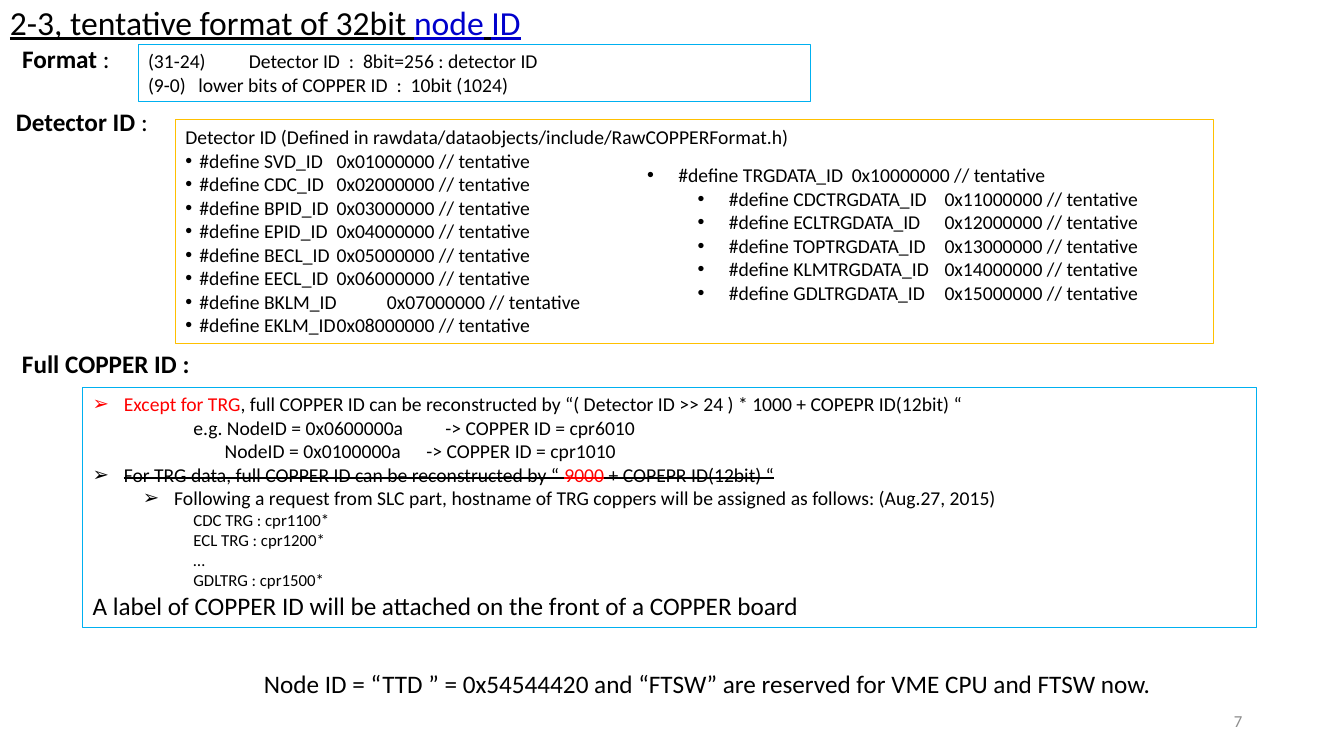
import pptx
import pptx.dml.color
import pptx.enum.shapes
import pptx.enum.text
import pptx.oxml.ns
import pptx.util
from lxml import etree
from pptx.util import Inches

BLUE, AMBER, RED, LINK = "00B0F0", "FFC000", "FF0000", "0000CC"
ALIGN = pptx.enum.text.PP_ALIGN
MIDDLE = pptx.enum.text.MSO_ANCHOR.MIDDLE
HANG = 0.31

DETECTORS = ["SVD_ID", "CDC_ID", "BPID_ID", "EPID_ID",
             "BECL_ID", "EECL_ID", "BKLM_ID", "EKLM_ID"]
TRIGGERS = ["CDC", "ECL", "TOP", "KLM", "GDL"]


def rgb(value):
    return pptx.dml.color.RGBColor.from_string(value)


def set_indent(para, margin, hang, bullet, tab):
    """Set the left margin, hanging bullet and one tab stop, in inches."""
    props = para._p.get_or_add_pPr()
    props.set("marL", str(Inches(margin)))
    props.set("indent", str(-Inches(hang)))
    if bullet:
        font = "Wingdings" if bullet == "Ø" else "Arial"
        etree.SubElement(props, pptx.oxml.ns.qn("a:buFont"), typeface=font)
        etree.SubElement(props, pptx.oxml.ns.qn("a:buChar"), char=bullet)
    if tab:
        stops = etree.SubElement(props, pptx.oxml.ns.qn("a:tabLst"))
        etree.SubElement(stops, pptx.oxml.ns.qn("a:tab"),
                         pos=str(Inches(tab)), algn="l")


def add_span(para, text, size=14, color="000000", bold=False,
             underline=False, strike=False):
    span = para.add_run()
    span.text = text
    span.font.name = "Calibri"
    span.font.size = pptx.util.Pt(size)
    span.font.color.rgb = rgb(color)
    span.font.bold = bold
    span.font.underline = underline
    if strike:
        span._r.get_or_add_rPr().set("strike", "sngStrike")


def line(*pieces, margin=0, hang=0, bullet=None, tab=None, level=0,
         align=ALIGN.LEFT, **style):
    """Describe a paragraph; a piece is a text or a (text, format) pair."""
    spans = [(piece, style) if isinstance(piece, str)
             else (piece[0], {**style, **piece[1]}) for piece in pieces]
    return spans, (margin, hang, bullet, tab), level, align


def fill_text(shape, lines, wrap=True, anchor=pptx.enum.text.MSO_ANCHOR.TOP):
    frame = shape.text_frame
    frame.word_wrap = wrap
    frame.vertical_anchor = anchor
    for index, (spans, indent, level, align) in enumerate(lines):
        para = frame.add_paragraph() if index else frame.paragraphs[0]
        para.level = level
        para.alignment = align
        set_indent(para, *indent)
        for text, style in spans:
            add_span(para, text, **style)


def add_text(shapes, place, lines, **options):
    box = shapes.add_textbox(*map(Inches, place))
    fill_text(box, lines, **options)


def add_frame(shapes, place, color, lines):
    box = shapes.add_shape(pptx.enum.shapes.MSO_SHAPE.RECTANGLE,
                           *map(Inches, place))
    box.shadow.inherit = False
    box.fill.background()
    box.line.color.rgb = rgb(color)
    box.line.width = pptx.util.Pt(0.75)
    fill_text(box, lines)


def define(name, code, **layout):
    return line(f"#define {name}\t0x{code}000000 // tentative", **layout)


def add_detector_ids(shapes):
    heading = "Detector ID (Defined in rawdata/dataobjects/include/RawCOPPERFormat.h)"
    add_frame(shapes, (1.74, 1.19, 10.3, 2.22), AMBER, [line(heading)] + [
        define(name, f"{number:02}", margin=0.14, hang=0.14, bullet="•", tab=1.5)
        for number, name in enumerate(DETECTORS, 1)])
    add_text(shapes, (6.32, 1.57, 6.67, 1.53), [
        define("TRGDATA_ID", 10, margin=HANG, hang=HANG, bullet="•", tab=2.03)
    ] + [
        define(f"{name}TRGDATA_ID", number, margin=0.81, hang=HANG, bullet="•",
               tab=2.95, level=1)
        for number, name in enumerate(TRIGGERS, 11)])


def add_copper_ids(shapes):
    arrow = {"hang": HANG, "bullet": "➢"}
    hosts = ["CDC TRG : cpr1100*", "ECL TRG : cpr1200*", "…", "GDLTRG : cpr1500*"]
    add_frame(shapes, (0.82, 3.84, 11.64, 2.39), BLUE, [
        line(("Except for TRG", {"color": RED}),
             ", full COPPER ID can be reconstructed by "
             "“( Detector ID >> 24 ) * 1000 + COPEPR ID(12bit) “",
             margin=HANG, **arrow),
        line("e.g. NodeID = 0x0600000a\t-> COPPER ID = cpr6010",
             margin=1, tab=3.26),
        line("NodeID = 0x0100000a\t-> COPPER ID = cpr1010",
             margin=1.31, tab=3.19),
        line("For TRG data, full COPPER ID can be reconstructed by “ ",
             ("9000", {"color": RED}), " + COPEPR ID(12bit) “",
             margin=HANG, strike=True, **arrow),
        line("Following a request from SLC part, hostname of TRG coppers "
             "will be assigned as follows: (Aug.27, 2015)",
             margin=0.81, level=1, **arrow),
        *[line(host, margin=1, size=12) for host in hosts],
        line("A label of COPPER ID will be attached on the front of a COPPER board",
             size=18)])


def main():
    deck = pptx.Presentation()
    deck.slide_width, deck.slide_height = Inches(13.33), Inches(7.5)
    page = deck.slides.add_slide(deck.slide_layouts[6])
    shapes = page.shapes

    add_text(shapes, (0, -0.03, 5.31, 0.5), [
        line("2-3, tentative format of 32bit ", ("node", {"color": LINK}), " ",
             ("ID", {"color": LINK}), size=24, underline=True)], wrap=False)
    add_frame(shapes, (1.37, 0.44, 6.67, 0.57), BLUE, [
        line("(31-24)\tDetector ID  :  8bit=256 : detector ID", tab=0.66),
        line("(9-0)\tlower bits of COPPER ID  :  10bit (1024)", tab=0.55)])
    add_text(shapes, (2.52, 6.58, 9.57, 0.4), [
        line("Node ID = “TTD ” = 0x54544420 and “FTSW” are reserved "
             "for VME CPU and FTSW now.", size=18)])
    add_copper_ids(shapes)

    for place, label, ending in [
            ((0.12, 0.38, 1.08, 0.4), "Format", " :"),
            ((0.06, 1.01, 1.52, 0.4), "Detector ID ", ":"),
            ((0.12, 3.41, 2, 0.4), "Full COPPER ID :", "")]:
        pieces = [(label, {"bold": True})] + ([ending] if ending else [])
        add_text(shapes, place, [line(*pieces, size=18)], wrap=False)

    add_text(shapes, (9.42, 6.95, 3, 0.4), [
        line("7", size=12, color="8C8C8C", align=ALIGN.RIGHT)], anchor=MIDDLE)
    add_detector_ids(shapes.add_group_shape().shapes)
    deck.save("out.pptx")


if __name__ == "__main__":
    main()
